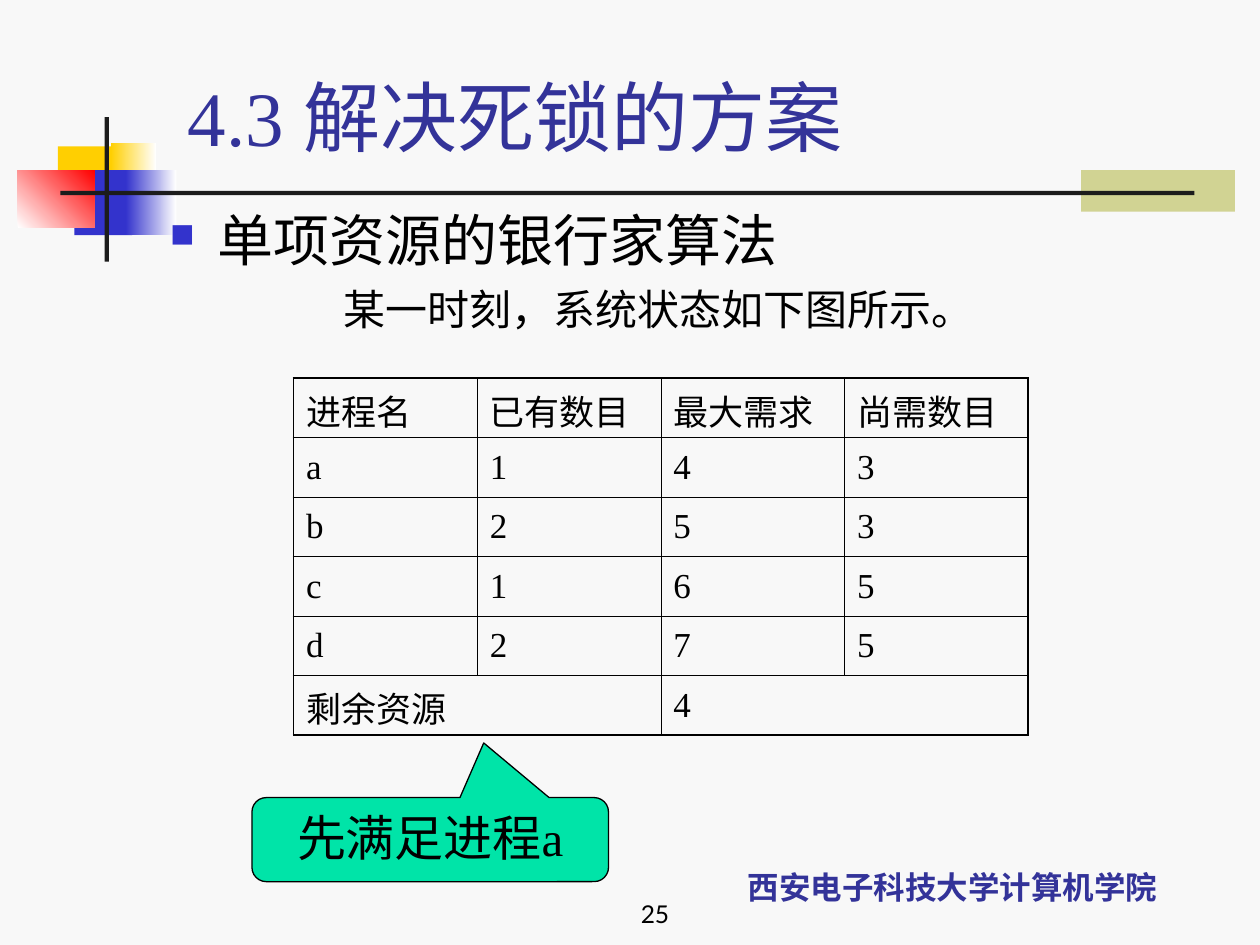
from lxml.etree import SubElement
from pptx import Presentation
from pptx.dml.color import RGBColor as RGB
from pptx.enum.shapes import MSO_SHAPE as Kind
from pptx.enum.text import MSO_ANCHOR as Anchor, PP_ALIGN as Align
from pptx.oxml import parse_xml
from pptx.oxml.ns import nsdecls, qn
from pptx.util import Inches, Pt

HUE = {"back": "F8F8F8", "olive": "D1D393", "gold": "FFCF01", "blue": "3333CC",
       "white": "FFFFFF", "red": "FF0000", "dark": "1C1C1C", "navy": "333399",
       "black": "000000", "mint": "00E4A8"}
HUE = {name: RGB.from_string(code) for name, code in HUE.items()}
ROMAN, HAN = "Times New Roman", "Noto Sans CJK SC"

deck = Presentation()
deck.slide_width, deck.slide_height = Inches(10), Inches(7.5)
slide = deck.slides.add_slide(deck.slide_layouts[6])
slide.background.fill.solid()
slide.background.fill.fore_color.rgb = HUE["back"]


def area(x, y, w, h):
    """Turn percent shares of the slide into lengths."""
    wide, high = deck.slide_width / 100, deck.slide_height / 100
    return [int(n) for n in (x * wide, y * high, w * wide, h * high)]


def write(para, text, size, hue="black", face=ROMAN, bold=False):
    run = para.add_run()
    run.text = text
    for key, val in {"size": Pt(size), "name": face, "bold": bold}.items():
        setattr(run.font, key, val)
    run.font.color.rgb = HUE[hue]
    SubElement(run.font._element, qn("a:ea")).set("typeface", HAN)


# Corner blocks and crossing bars: place, colours, gradient angle
blocks = [
    ((85.8, 18, 12.2, 4.4), ["olive"], 0),
    ((4.6, 15.5, 4.8, 6.9), ["gold"], 0),
    ((8.8, 15.1, 3.6, 6.9), ["gold", "white"], 0),
    ((5.9, 18, 4.6, 6.9), ["blue"], 0),
    ((10, 18, 4, 6.9), ["blue", "white"], 0),
    ((1.4, 18, 6.1, 6.1), ["white", "red"], 45),
    ((8.3, 12.4, 0.35, 15.3), ["dark"], 0),
    ((4.8, 20.2, 90, 0.45), ["dark"], 0),
]
for place, hues, angle in blocks:
    block = slide.shapes.add_shape(Kind.RECTANGLE, *area(*place))
    block.shadow.inherit = False
    block.line.fill.background()
    if len(hues) == 1:
        block.fill.solid()
        block.fill.fore_color.rgb = HUE[hues[0]]
    else:
        block.fill.gradient()
        block.fill.gradient_angle = angle
        for stop, hue in zip(block.fill.gradient_stops, hues):
            stop.color.rgb = HUE[hue]

# School name, title and page number
labels = [
    ((53.1, 88.8, 45, 7.7), "西安电子科技大学计算机学院", Align.CENTER,
     {"size": 18, "hue": "navy", "face": HAN, "bold": True}),
    ((13.9, 6.7, 85.2, 11.1), "4.3 解决死锁的方案", Align.LEFT,
     {"size": 44, "hue": "navy"}),
    ((33.3, 92.2, 20.8, 6.7), "25", Align.RIGHT, {"size": 14, "face": "Lato"}),
]
for place, text, align, form in labels:
    frame = slide.shapes.add_textbox(*area(*place)).text_frame
    frame.word_wrap, frame.vertical_anchor = True, Anchor.BOTTOM
    frame.paragraphs[0].alignment = align
    write(frame.paragraphs[0], text, **form)

# Body: bulleted topic and an indented sentence
frame = slide.shapes.add_textbox(*area(12.5, 21.1, 85, 18.9)).text_frame
frame.word_wrap = True
topic, note = frame.paragraphs[0], frame.add_paragraph()
props = topic._p.get_or_add_pPr()
props.set("marL", str(Inches(0.38)))
props.set("indent", str(-Inches(0.38)))
tint = SubElement(props, qn("a:buClr"))
SubElement(tint, qn("a:srgbClr")).set("val", str(HUE["blue"]))
SubElement(props, qn("a:buSzPct")).set("val", "60000")
SubElement(props, qn("a:buChar")).set("char", "■")
write(topic, "单项资源的银行家算法", 32)
note.space_before = Pt(6)
note._p.get_or_add_pPr().set("marL", str(Inches(1.38)))
write(note, "某一时刻，系统状态如下图所示。", 24)

# Resource table: the last row has two merged pairs
rows = [
    ["进程名", "已有数目", "最大需求", "尚需数目"],
    ["a", "1", "4", "3"],
    ["b", "2", "5", "3"],
    ["c", "1", "6", "5"],
    ["d", "2", "7", "5"],
    ["剩余资源", "", "4", ""],
]
last, end = len(rows) - 1, len(rows[0]) - 1
table = slide.shapes.add_table(last + 1, end + 1, *area(23.3, 40, 58.3, 37.8)).table
table.first_row = table.horz_banding = False
for col in (0, 2):
    table.cell(last, col).merge(table.cell(last, col + 1))
for r, row in enumerate(rows):
    for c, text in enumerate(row):
        cell = table.cell(r, c)
        if cell.is_spanned:
            continue
        cell.fill.background()
        cell.vertical_anchor = Anchor.MIDDLE
        write(cell.text_frame.paragraphs[0], text, 20)
        outer = {"L": c == 0, "R": c + cell.span_width - 1 == end,
                 "T": r == 0, "B": r == last}
        for i, (side, edge) in enumerate(outer.items()):
            width = Pt(1.08 if edge else 0.45)
            cell._tc.get_or_add_tcPr().insert(i, parse_xml(
                f'<a:ln{side} {nsdecls("a")} w="{width}"><a:solidFill>'
                f'<a:srgbClr val="{HUE["black"]}"/></a:solidFill></a:ln{side}>'))

# Callout pointing at the remaining resources
call = slide.shapes.add_shape(Kind.ROUNDED_RECTANGULAR_CALLOUT,
                              *area(20, 84.4, 28.3, 8.9))
call.shadow.inherit = False
for i, val in enumerate((0.15, -1.15, 0.17)):
    call.adjustments[i] = val
call.fill.solid()
call.fill.fore_color.rgb = HUE["mint"]
call.line.color.rgb, call.line.width = HUE["black"], Pt(0.75)
call.text_frame.vertical_anchor = Anchor.TOP
call.text_frame.paragraphs[0].alignment = Align.CENTER
write(call.text_frame.paragraphs[0], "先满足进程a", 28)

deck.save("out.pptx")
